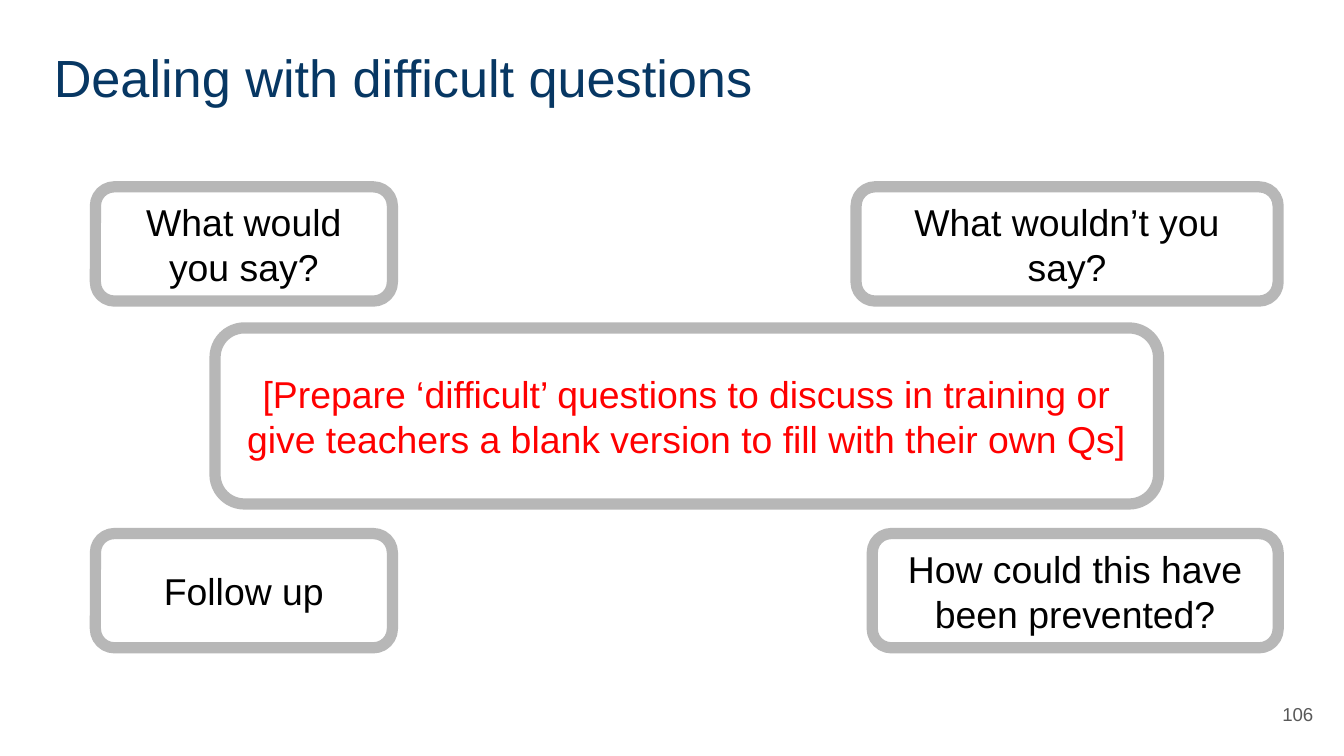
from pptx import Presentation
from pptx import util as u
from pptx.dml import color
from pptx.enum import shapes, text

COLORS = {
    "title": "073763",
    "border": "B7B7B7",
    "prompt": "000000",
    "instruction": "FF0000",
    "page": "595959",
}
FONT = "Arial"
INSET = u.Inches(0.1)

# Outer edges shared by the corner prompts
LEFT, RIGHT = 0.71, 9.51
TOP_ROW, BOTTOM_ROW = 1.39, 3.97
PROMPT_HEIGHT = 0.85
PROMPTS = [
    ("What would you say?", "left", TOP_ROW, 2.21),
    ("What wouldn’t you say?", "right", TOP_ROW, 3.14),
    ("Follow up", "left", BOTTOM_ROW, 2.21),
    ("How could this have been prevented?", "right", BOTTOM_ROW, 3.02),
]
INSTRUCTION = ("[Prepare ‘difficult’ questions to discuss in training or "
               "give teachers a blank version to fill with their own Qs]")


def rgb(name):
    return color.RGBColor.from_string(COLORS[name])


def write_text(holder, words, size, ink, align, anchor):
    frame = holder.text_frame
    frame_format = {
        "word_wrap": True,
        "auto_size": text.MSO_AUTO_SIZE.NONE,
        "vertical_anchor": anchor,
        "margin_left": INSET,
        "margin_top": INSET,
        "margin_right": INSET,
        "margin_bottom": INSET,
    }
    for name, value in frame_format.items():
        setattr(frame, name, value)

    paragraph = frame.paragraphs[0]
    paragraph.alignment = align
    run = paragraph.add_run()
    run.text = words
    for name, value in {"name": FONT, "size": u.Pt(size)}.items():
        setattr(run.font, name, value)
    run.font.color.rgb = rgb(ink)


def add_card(slide, words, box, ink):
    card = slide.shapes.add_shape(
        shapes.MSO_SHAPE.ROUNDED_RECTANGLE, *map(u.Inches, box))
    card.shadow.inherit = False
    card.fill.background()
    card.line.color.rgb = rgb("border")
    card.line.width = u.Pt(6)
    write_text(card, words, 20, ink,
               text.PP_ALIGN.CENTER, text.MSO_ANCHOR.MIDDLE)


def set_title(slide, words):
    title = slide.shapes.title
    place = {"left": 0.3, "top": 0.24, "width": 8.48, "height": 0.63}
    for name, value in place.items():
        setattr(title, name, u.Inches(value))
    write_text(title, words, 28, "title",
               text.PP_ALIGN.LEFT, text.MSO_ANCHOR.TOP)


def add_page_number(slide, number):
    page = slide.shapes.add_textbox(*map(u.Inches, (9.27, 5.1, 0.6, 0.43)))
    write_text(page, number, 10, "page",
               text.PP_ALIGN.RIGHT, text.MSO_ANCHOR.MIDDLE)


def main():
    # Widescreen page, 16:9
    deck = Presentation()
    deck.slide_width = u.Inches(10)
    deck.slide_height = u.Inches(10 * 9 / 16)
    slide = deck.slides.add_slide(deck.slide_layouts.get_by_name("Title Only"))

    # Corner prompts
    for words, side, top, width in PROMPTS:
        left = LEFT if side == "left" else RIGHT - width
        add_card(slide, words, (left, top, width, PROMPT_HEIGHT), "prompt")

    # Central instruction
    add_card(slide, INSTRUCTION, (1.6, 2.44, 7.02, 1.31), "instruction")

    # Heading
    set_title(slide, "Dealing with difficult questions")

    # Page number
    add_page_number(slide, "106")

    deck.save("out.pptx")


if __name__ == "__main__":
    main()
